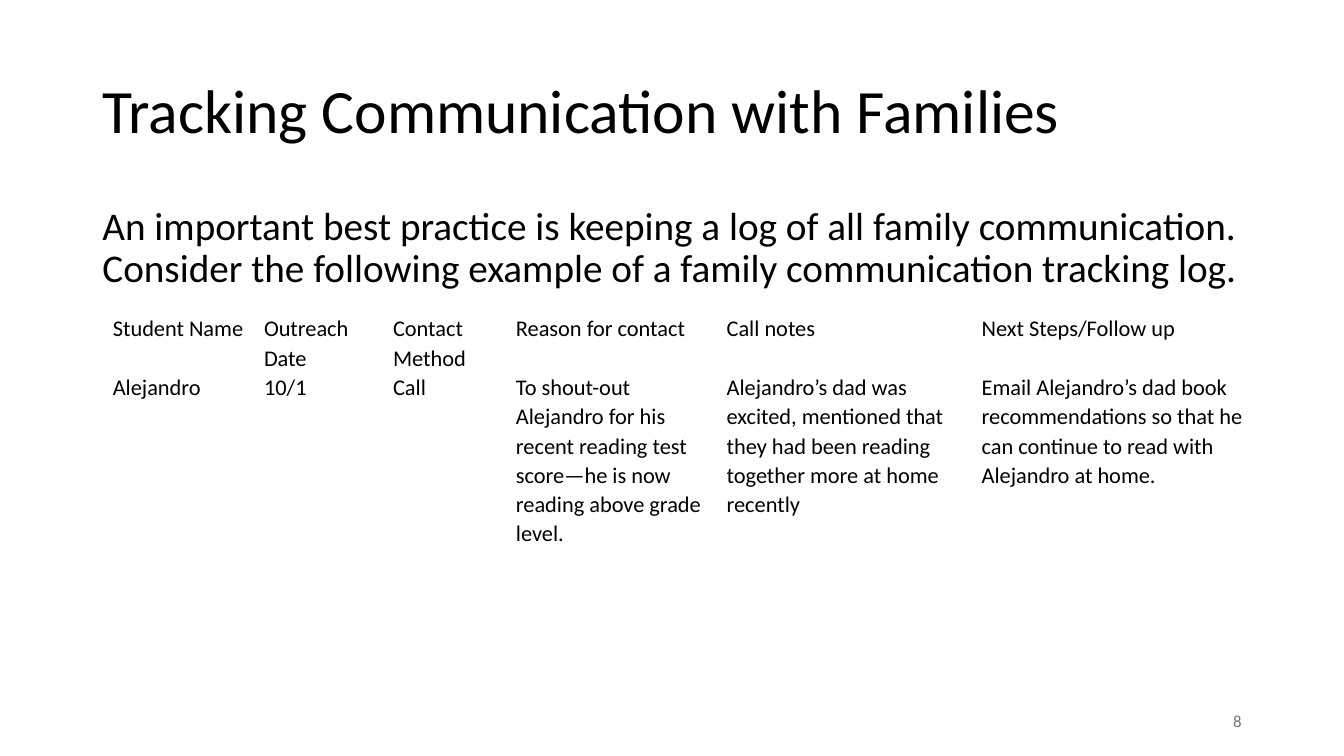
from lxml import etree
from pptx import Presentation
from pptx.dml.color import RGBColor
from pptx.enum.text import MSO_ANCHOR, MSO_AUTO_SIZE, PP_ALIGN
from pptx.oxml.ns import qn
from pptx.util import Pt

BLACK = RGBColor(0x00, 0x00, 0x00)
GRAY = RGBColor(0x71, 0x71, 0x71)
LEFT, RIGHT = PP_ALIGN.LEFT, PP_ALIGN.RIGHT
TOP, MIDDLE = MSO_ANCHOR.TOP, MSO_ANCHOR.MIDDLE
NO_AUTOFIT = MSO_AUTO_SIZE.NONE

TITLE = "Tracking Communication with Families"
INTRO = ("An important best practice is keeping a log of all family communication. "
         "Consider the following example of a family communication tracking log.")
LOG = [
    ["Student Name", "Outreach Date", "Contact Method", "Reason for contact",
     "Call notes", "Next Steps/Follow up"],
    ["Alejandro", "10/1", "Call",
     "To shout-out Alejandro for his recent reading test score—he is now "
     "reading above grade level.",
     "Alejandro’s dad was excited, mentioned that they had been reading "
     "together more at home recently",
     "Email Alejandro’s dad book recommendations so that he can continue to "
     "read with Alejandro at home."],
]
COLUMN_WIDTHS = [108, 92.2, 87.8, 150.5, 182.2, 197.3]
ROW_HEIGHTS = [36, 177]
CELL_MARGINS = {"margin_left": Pt(5), "margin_right": Pt(5),
                "margin_top": 0, "margin_bottom": 0}


def set_attributes(target, values):
    """Set each named attribute of the target."""
    for name, value in values.items():
        setattr(target, name, value)


def write(frame, wording, size, color=BLACK, align=LEFT, spacing=1.0):
    """Put one formatted, unbulleted paragraph in a text frame."""
    frame.text = wording
    paragraph = frame.paragraphs[0]
    properties = paragraph._p.get_or_add_pPr()
    properties.set("marL", "0")
    properties.set("indent", "0")
    etree.SubElement(properties, qn("a:buNone"))
    set_attributes(paragraph, {"alignment": align, "line_spacing": spacing,
                               "space_before": Pt(0)})
    font = paragraph.runs[0].font
    set_attributes(font, {"name": "Calibri", "size": Pt(size)})
    font.color.rgb = color


def place(holder, box, anchor):
    """Move a text holder to its box and fix its wrapping and anchor."""
    edges = ("left", "top", "width", "height")
    set_attributes(holder, dict(zip(edges, map(Pt, box))))
    set_attributes(holder.text_frame, {"auto_size": NO_AUTOFIT, "word_wrap": True,
                                       "vertical_anchor": anchor})


def add_log(slide):
    """Add the communication log as a plain table."""
    frame = slide.shapes.add_table(len(LOG), len(COLUMN_WIDTHS), Pt(75.6), Pt(224),
                                   Pt(sum(COLUMN_WIDTHS)), Pt(sum(ROW_HEIGHTS)))
    log = frame.table
    set_attributes(log, {"first_row": False, "horz_banding": False})
    for column, width in zip(log.columns, COLUMN_WIDTHS):
        column.width = Pt(width)
    for row, height, entries in zip(log.rows, ROW_HEIGHTS, LOG):
        row.height = Pt(height)
        for cell, entry in zip(row.cells, entries):
            set_attributes(cell, CELL_MARGINS)
            cell.fill.background()
            write(cell.text_frame, entry, 16, spacing=1.07)


def add_page_number(slide, number):
    """Add the page number at the lower right."""
    box = (678, 500.5, 216, 28.75)
    page_number = slide.shapes.add_textbox(*map(Pt, box))
    place(page_number, box, MIDDLE)
    write(page_number.text_frame, number, 12, GRAY, RIGHT)


def main():
    """Build and save the slide."""
    deck = Presentation()
    set_attributes(deck, {"slide_width": Pt(960), "slide_height": Pt(540)})
    slide = deck.slides.add_slide(deck.slide_layouts[1])
    title, intro = slide.placeholders
    place(title, (66, 28.75, 828, 104.4), MIDDLE)
    write(title.text_frame, TITLE, 44, spacing=0.9)
    place(intro, (66, 143.75, 828, 342.6), TOP)
    write(intro.text_frame, INTRO, 28, spacing=0.9)
    add_log(slide)
    add_page_number(slide, "8")
    deck.save("out.pptx")


if __name__ == "__main__":
    main()
